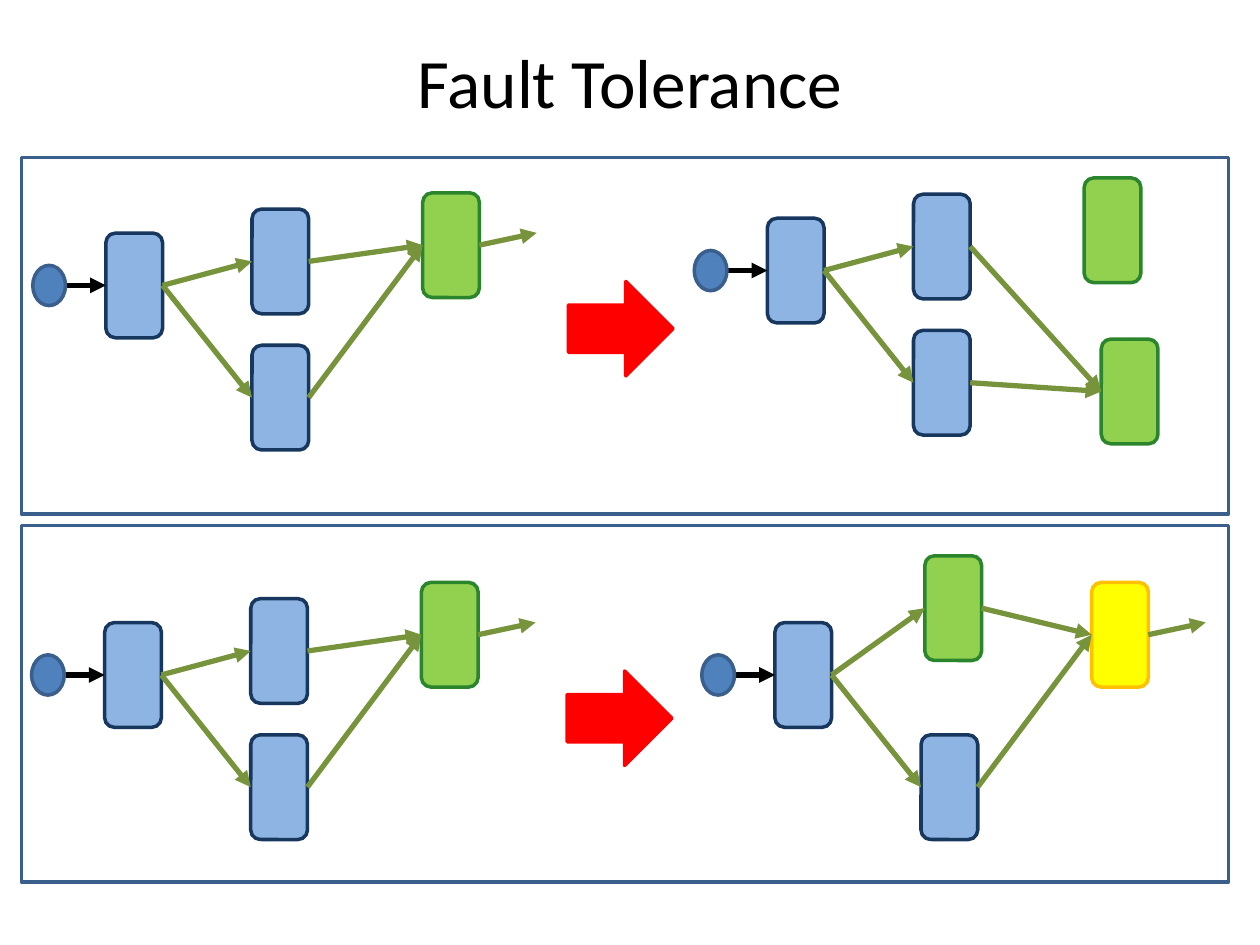
from lxml import etree
from pptx import Presentation
from pptx.dml.color import RGBColor
from pptx.enum.shapes import MSO_CONNECTOR, MSO_SHAPE
from pptx.enum.text import MSO_ANCHOR, PP_ALIGN
from pptx.oxml.ns import qn
from pptx.util import Pt

ROUNDED = MSO_SHAPE.ROUNDED_RECTANGLE
OVAL = MSO_SHAPE.OVAL
RIGHT_ARROW = MSO_SHAPE.RIGHT_ARROW
RECTANGLE = MSO_SHAPE.RECTANGLE
STRAIGHT = MSO_CONNECTOR.STRAIGHT
MIDDLE = MSO_ANCHOR.MIDDLE
CENTER = PP_ALIGN.CENTER

COLORS = {
    "title": "000000",
    "frame": "3A5F8C",
    "source": "4F81BD",
    "feed": "000000",
    "stream": "77933C",
    "change": "FF0000",
}
# Node kind: fill and outline
NODE_COLORS = {
    "worker": ("8EB4E3", "17375E"),
    "replica": ("92D050", "2B852D"),
    "recovered": ("FFFF00", "FFC000"),
}

# Nodes are turned upright, so their length is the visible height
NODE_LENGTH, NODE_BREADTH = 59.8, 32.4
SOURCE_LENGTH, SOURCE_BREADTH = 23, 18.7
SOURCE_OFFSET = -48.6

# Node centres are relative to the centre of the entry node
ENTRY = ("worker", 0, 0)
UPPER = ("worker", 83.5, -13.7)
LOWER = ("worker", 83.5, 64.1)
SINK = ("replica", 181, -23)
EXIT = (230, -30)

NORMAL = {
    "nodes": {"entry": ENTRY, "upper": UPPER, "lower": LOWER, "sink": SINK},
    "edges": [("entry", "upper"), ("entry", "lower"),
              ("upper", "sink"), ("lower", "sink")],
    "exit_from": "sink",
}
REROUTED = {
    "nodes": {"entry": ENTRY, "upper": UPPER, "lower": LOWER,
              "failed": SINK, "sink": ("replica", 190.8, 69.1)},
    "edges": NORMAL["edges"],
    "exit_from": None,
}
REPLACED = {
    "nodes": {"entry": ENTRY, "upper": ("replica", 85.7, -38.2),
              "lower": LOWER, "sink": ("recovered", 181, -23)},
    "edges": NORMAL["edges"],
    "exit_from": "sink",
}


def add_title(slide, text):
    title = slide.shapes.title
    title.left, title.top, title.width, title.height = Pt(36), Pt(18), Pt(648), Pt(56)
    title.text_frame.text = text
    title.text_frame.vertical_anchor = MIDDLE
    paragraph = title.text_frame.paragraphs[0]
    paragraph.alignment = CENTER
    font = paragraph.runs[0].font
    font.name, font.size = "Calibri", Pt(39.6)
    font.color.rgb = RGBColor.from_string(COLORS["title"])


def add_centered_shape(slide, kind, x, y, width, height, fill, line, rotation=0):
    shape = slide.shapes.add_shape(
        kind, Pt(x - width / 2), Pt(y - height / 2), Pt(width), Pt(height))
    shape.rotation = rotation
    shape.shadow.inherit = False
    if fill:
        shape.fill.solid()
        shape.fill.fore_color.rgb = RGBColor.from_string(fill)
    else:
        shape.fill.background()
    shape.line.color.rgb = RGBColor.from_string(line)
    shape.line.width = Pt(2)


def add_arrow(slide, start, end, color):
    arrow = slide.shapes.add_connector(
        STRAIGHT, *(Pt(value) for value in (*start, *end)))
    arrow.line.color.rgb = RGBColor.from_string(color)
    arrow.line.width = Pt(3)
    etree.SubElement(arrow.line._get_or_add_ln(), qn("a:tailEnd"), type="triangle")
    etree.SubElement(arrow._element.spPr, qn("a:effectLst"))


def add_network(slide, network, x, y):
    # Nodes, with the points where streams enter and leave
    inputs, outputs = {}, {}
    for name, (kind, dx, dy) in network["nodes"].items():
        add_centered_shape(slide, ROUNDED, x + dx, y + dy, NODE_LENGTH,
                           NODE_BREADTH, *NODE_COLORS[kind], rotation=270)
        inputs[name] = (x + dx - NODE_BREADTH / 2, y + dy)
        outputs[name] = (x + dx + NODE_BREADTH / 2, y + dy)

    # Source and its feed
    source_x = x + SOURCE_OFFSET
    add_arrow(slide, (source_x + SOURCE_BREADTH / 2, y), inputs["entry"],
              COLORS["feed"])
    add_centered_shape(slide, OVAL, source_x, y, SOURCE_LENGTH, SOURCE_BREADTH,
                       COLORS["source"], COLORS["frame"], rotation=270)

    # Streams between nodes and out of the network
    for start, end in network["edges"]:
        add_arrow(slide, outputs[start], inputs[end], COLORS["stream"])
    if network["exit_from"]:
        add_arrow(slide, outputs[network["exit_from"]],
                  (x + EXIT[0], y + EXIT[1]), COLORS["stream"])


def add_scenario(slide, before, after, frame_top):
    add_network(slide, *before)
    add_network(slide, *after)
    _, x, y = before
    add_centered_shape(slide, RIGHT_ARROW, x + 278, y + 24.7, 59.8, 54,
                       COLORS["change"], COLORS["change"])
    add_centered_shape(slide, RECTANGLE, 357.1, frame_top + 101.9, 689.8, 203.8,
                       None, COLORS["frame"])


def main():
    presentation = Presentation()
    presentation.slide_width, presentation.slide_height = Pt(720), Pt(540)
    slide = presentation.slides.add_slide(presentation.slide_layouts[5])
    add_title(slide, "Fault Tolerance")
    # Streams move to another replica
    add_scenario(slide, (NORMAL, 76.7, 163.1), (REROUTED, 454.7, 154.6), 90)
    # A recovered node takes the place of the sink
    add_scenario(slide, (NORMAL, 76, 385.7), (REPLACED, 459, 385.7), 300.2)
    presentation.save("out.pptx")


if __name__ == "__main__":
    main()
